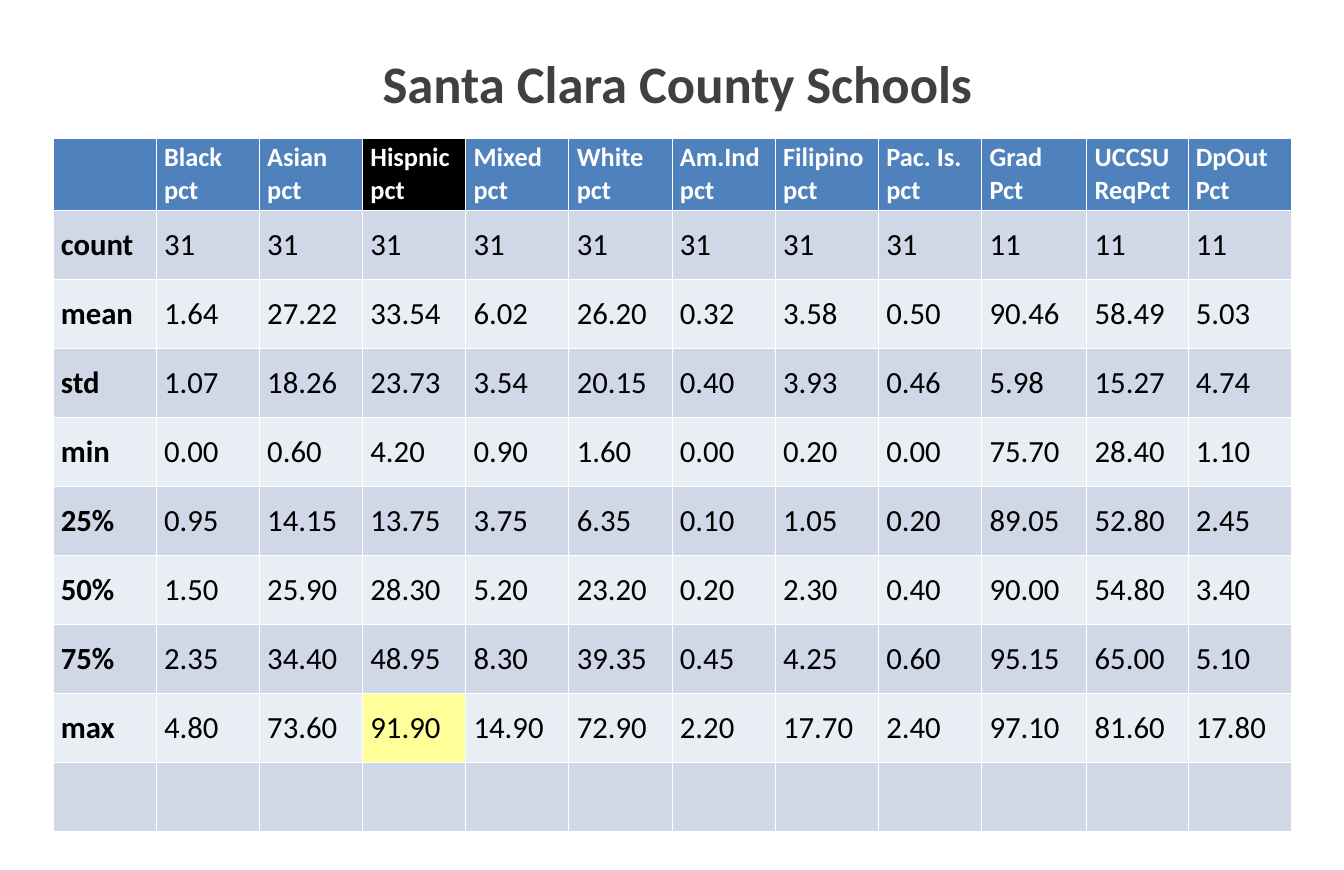
"""Build the slide with the table of Santa Clara County school statistics."""
from pptx import Presentation
from pptx.dml.color import RGBColor
from pptx.enum.text import MSO_ANCHOR, MSO_AUTO_SIZE, PP_ALIGN
from pptx.util import Inches, Pt

MIDDLE, CENTER, FIXED = MSO_ANCHOR.MIDDLE, PP_ALIGN.CENTER, MSO_AUTO_SIZE.NONE

WHITE = RGBColor(0xFF, 0xFF, 0xFF)
BLACK = RGBColor(0x00, 0x00, 0x00)
GREY = RGBColor(0x40, 0x40, 0x40)
BLUE = RGBColor(0x4F, 0x81, 0xBD)
BANDS = RGBColor(0xE9, 0xED, 0xF4), RGBColor(0xD0, 0xD8, 0xE8)
YELLOW = RGBColor(0xFF, 0xFF, 0x99)

TITLE = "Santa Clara County Schools"
HEADS = ["", "Black\npct", "Asian\npct", "Hispnic\npct", "Mixed\npct", "White\npct",
         "Am.Ind\npct", "Filipino\npct", "Pac. Is.\npct", "Grad\nPct",
         "UCCSU\nReqPct", "DpOut\nPct"]
STATS = [
    "count 31 31 31 31 31 31 31 31 11 11 11",
    "mean 1.64 27.22 33.54 6.02 26.20 0.32 3.58 0.50 90.46 58.49 5.03",
    "std 1.07 18.26 23.73 3.54 20.15 0.40 3.93 0.46 5.98 15.27 4.74",
    "min 0.00 0.60 4.20 0.90 1.60 0.00 0.20 0.00 75.70 28.40 1.10",
    "25% 0.95 14.15 13.75 3.75 6.35 0.10 1.05 0.20 89.05 52.80 2.45",
    "50% 1.50 25.90 28.30 5.20 23.20 0.20 2.30 0.40 90.00 54.80 3.40",
    "75% 2.35 34.40 48.95 8.30 39.35 0.45 4.25 0.60 95.15 65.00 5.10",
    "max 4.80 73.60 91.90 14.90 72.90 2.20 17.70 2.40 97.10 81.60 17.80",
]
ROWS = [HEADS] + [line.split() for line in STATS] + [[""] * len(HEADS)]
MARKS = {(0, 3): BLACK, (8, 3): YELLOW}

TITLE_BOX = 373, 46, 610, 72
TABLE_BOX = 53, 138, 1239, 690
NUDGE = {9: 2, 10: -2}

TITLE_FONT = dict(name="Calibri", size=Pt(48), bold=True)
HEAD_FONT = dict(name="Calibri", size=Pt(24), bold=True)
LABEL_FONT = dict(name="Calibri", size=Pt(28), bold=True)
VALUE_FONT = dict(name="Calibri", size=Pt(28), bold=False)


def px(size):
    return round(size * Inches(1) / 79.1)


def style(frame, font, color):
    for para in frame.paragraphs:
        for key, value in font.items():
            setattr(para.font, key, value)
        para.font.color.rgb = color


deck = Presentation()
deck.slide_width, deck.slide_height = Inches(17), Inches(11)
slide = deck.slides.add_slide(deck.slide_layouts[5])

title = slide.shapes.title
for key, size in zip(("left", "top", "width", "height"), TITLE_BOX):
    setattr(title, key, px(size))
frame = title.text_frame
frame.text = TITLE
for key, value in dict(auto_size=FIXED, word_wrap=False, vertical_anchor=MIDDLE).items():
    setattr(frame, key, value)
frame.paragraphs[0].alignment = CENTER
style(frame, TITLE_FONT, GREY)

table = slide.shapes.add_table(len(ROWS), len(HEADS), *map(px, TABLE_BOX)).table
table.first_col = False
for c, col in enumerate(table.columns):
    col.width = px(TABLE_BOX[2] / len(HEADS) + NUDGE.get(c, 0))
for r, row in enumerate(ROWS):
    table.rows[r].height = px(TABLE_BOX[3] / len(ROWS))
    for c, text in enumerate(row):
        cell = table.cell(r, c)
        cell.text = text
        cell.vertical_anchor = MIDDLE
        cell.fill.solid()
        cell.fill.fore_color.rgb = MARKS.get((r, c), BANDS[r % 2] if r else BLUE)
        font = HEAD_FONT if r == 0 else VALUE_FONT if c else LABEL_FONT
        style(cell.text_frame, font, BLACK if r else WHITE)

deck.save("out.pptx")
